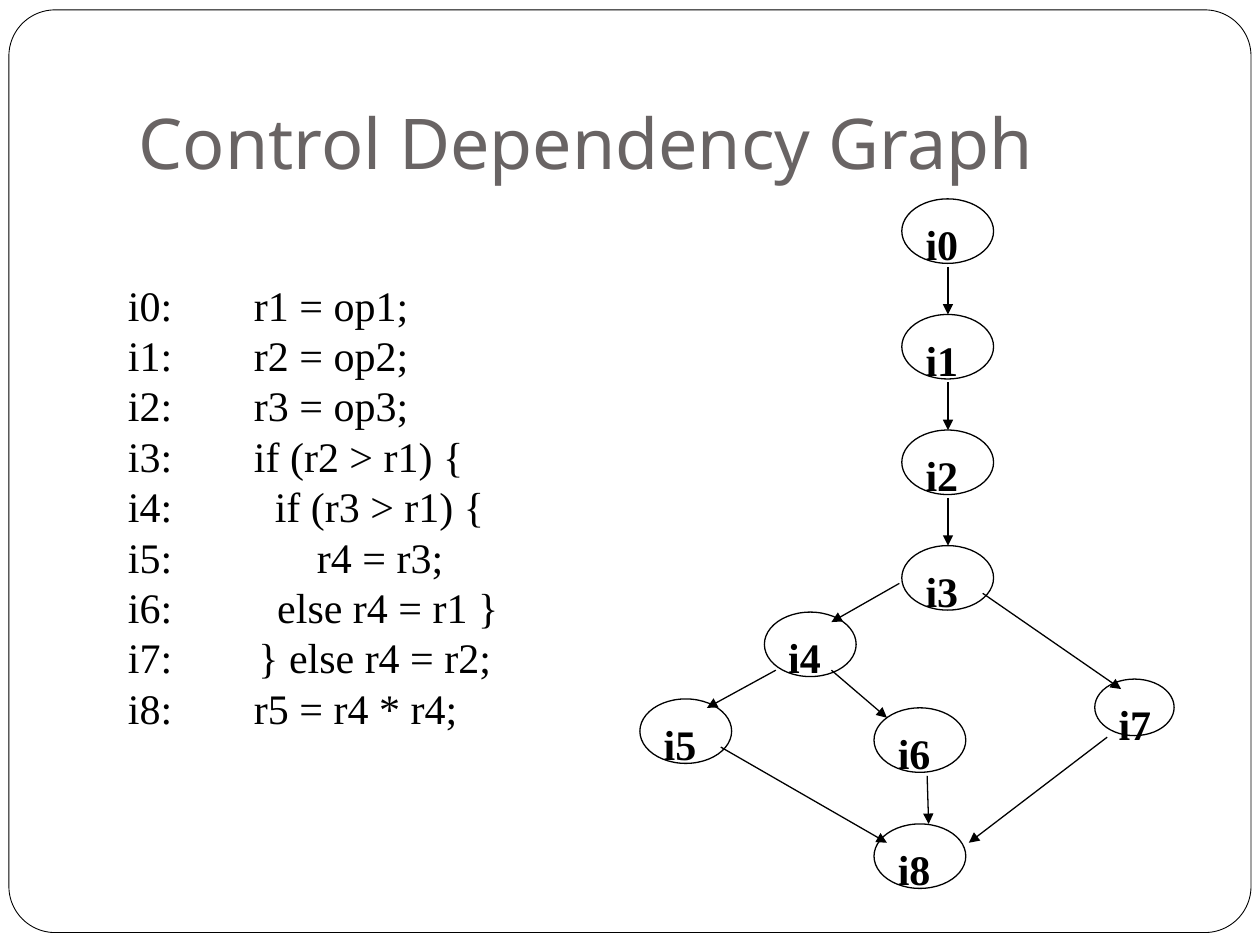
from pptx import Presentation
from pptx.dml.color import RGBColor
from pptx.enum.shapes import MSO_CONNECTOR as Connector, MSO_SHAPE as Shape
from pptx.enum.text import MSO_ANCHOR as Anchor, PP_ALIGN as Align
from pptx.oxml.ns import qn
from pptx.util import Cm, Pt
from lxml.etree import SubElement

SERIF = "Times New Roman"
INK, PAPER, HEADING = "000000", "FFFFFF", "696464"

# Instruction label, tab position in cm, statement
CODE = [
    ("i0:", 2.54, "r1 = op1;"),
    ("i1:", 2.54, "r2 = op2;"),
    ("i2:", 2.54, "r3 = op3;"),
    ("i3:", 2.54, "if (r2 > r1) {"),
    ("i4:", 2.96, "if (r3 > r1) {"),
    ("i5:", 3.81, "r4 = r3;"),
    ("i6:", 3.01, "else r4 = r1 }"),
    ("i7:", 2.63, "} else r4 = r2;"),
    ("i8:", 2.54, "r5 = r4 * r4;"),
]

# Node places in cm within the graph: a column of four, then the branches
NODE_SIZE, SMALL_SIZE = (1.85, 1.3), (1.6, 1.14)
COLUMN_X, COLUMN_STEP = 5.28, 2.33
NODES = {f"i{n}": (COLUMN_X, n * COLUMN_STEP) for n in range(4)}
NODES |= {"i4": (2.51, 8.33), "i5": (0, 10.08), "i6": (4.72, 10.26),
          "i7": (9.17, 9.68), "i8": (4.72, 12.6)}

# Edges: source node, offset within it, target node, offset within it
EDGES = [(f"i{n}", (0.93, 1.37), f"i{n + 1}", (0.93, 0)) for n in range(3)]
EDGES += [
    ("i3", (-0.05, 0.76), "i4", (1.35, 0.2)),
    ("i3", (1.63, 0.96), "i7", (0.53, 0.2)),
    ("i4", (0.23, 1.17), "i5", (1.35, 0.18)),
    ("i4", (1.35, 1.17), "i6", (0.26, 0.2)),
    ("i5", (1.63, 0.97), "i8", (0.26, 0.38)),
    ("i6", (1.07, 1.37), "i8", (1.1, 0)),
    ("i7", (0.25, 1.17), "i8", (1.91, 0.38)),
]


def color(hex_text):
    return RGBColor.from_string(hex_text)


def add_run(paragraph, text, size, font, ink, bold=False):
    run = paragraph.add_run()
    run.text = text
    run.font.size, run.font.name, run.font.bold = Pt(size), font, bold
    run.font.color.rgb = color(ink)


def add_outline(slide, kind, left, top, width, height, weight):
    outline = slide.shapes.add_shape(kind, Cm(left), Cm(top), Cm(width), Cm(height))
    outline.shadow.inherit = False
    outline.fill.background()
    outline.line.color.rgb = color(INK)
    outline.line.width = Pt(weight)
    return outline


def add_frame(slide, left, top, width, height):
    frame = add_outline(slide, Shape.ROUNDED_RECTANGLE, left, top, width, height, 0.5)
    frame.adjustments[0] = 0.05
    frame.fill.solid()
    frame.fill.fore_color.rgb = color(PAPER)
    # Send behind the title
    slide.shapes._spTree.insert(2, frame._element)


def add_heading(slide, left, top, width, height):
    title = slide.shapes.title
    title.left, title.top, title.width, title.height = map(Cm, (left, top, width, height))
    text = title.text_frame
    text.vertical_anchor = Anchor.BOTTOM
    text.margin_bottom = Cm(0.25)
    text.paragraphs[0].alignment = Align.LEFT
    add_run(text.paragraphs[0], "Control Dependency Graph", 40, "Noto Sans", HEADING)


def add_code(slide, left, top, width, height):
    listing = slide.shapes.add_textbox(Cm(left), Cm(top), Cm(width), Cm(height)).text_frame
    listing.word_wrap = True
    for index, (label, tab_at, statement) in enumerate(CODE):
        line = listing.add_paragraph() if index else listing.paragraphs[0]
        line.line_spacing = Pt(28.8)
        tabs = SubElement(line._p.get_or_add_pPr(), qn("a:tabLst"))
        SubElement(tabs, qn("a:tab"), pos=str(Cm(tab_at)), algn="l")
        add_run(line, f"{label}\t{statement}", 24, SERIF, INK)


def add_node(slide, name, left, top, size):
    label = slide.shapes.add_textbox(Cm(left + 0.23), Cm(top + 0.2), Cm(1.4), Cm(1.02))
    label.text_frame.word_wrap = True
    label.text_frame.margin_top = Cm(0.2)
    add_run(label.text_frame.paragraphs[0], name, 24, SERIF, INK, bold=True)
    add_outline(slide, Shape.OVAL, left, top, *size, 0.75)


def add_arrow(slide, start, end):
    arrow = slide.shapes.add_connector(Connector.STRAIGHT, *map(Cm, start + end))
    arrow.line.color.rgb = color(INK)
    arrow.line.width = Pt(0.75)
    SubElement(arrow.line._get_or_add_ln(), qn("a:tailEnd"), type="triangle")
    SubElement(arrow._element.spPr, qn("a:effectLst"))


def add_graph(slide, left, top):
    def place(node, offset=(0, 0)):
        x, y = NODES[node]
        return left + x + offset[0], top + y + offset[1]

    for name in NODES:
        add_node(slide, name, *place(name), SMALL_SIZE if name == "i7" else NODE_SIZE)
    for source, leave, target, arrive in EDGES:
        add_arrow(slide, place(source, leave), place(target, arrive))


deck = Presentation()
deck.slide_width, deck.slide_height = Cm(25.4), Cm(19.05)
slide = deck.slides.add_slide(deck.slide_layouts[5])  # title only

add_frame(slide, 0.18, 0.2, 25.04, 18.6)
add_heading(slide, 2.54, 0.76, 21.59, 3.18)
add_code(slide, 2.33, 5.5, 9.53, 9.37)
add_graph(slide, 12.9, 4.01)

deck.save("out.pptx")
